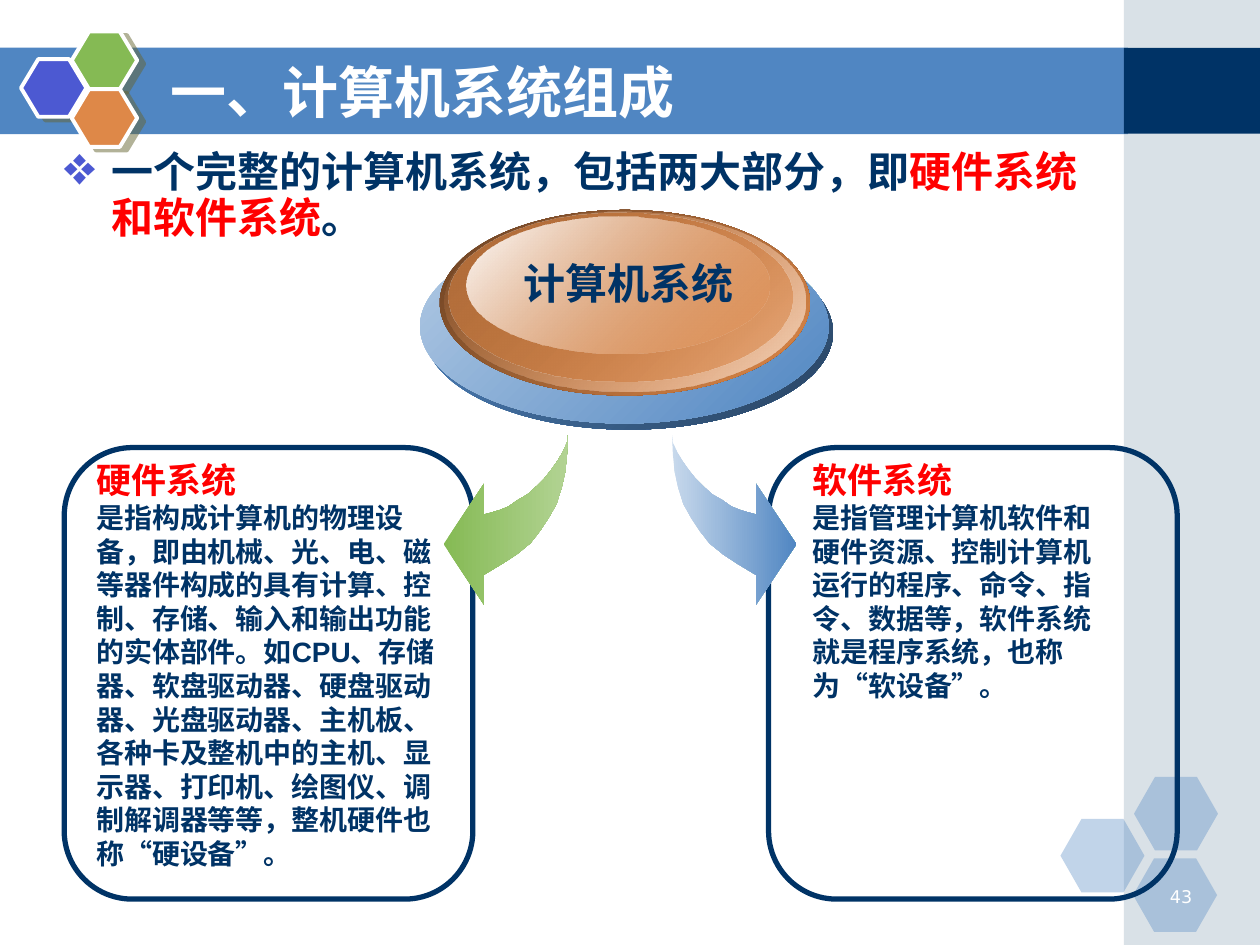
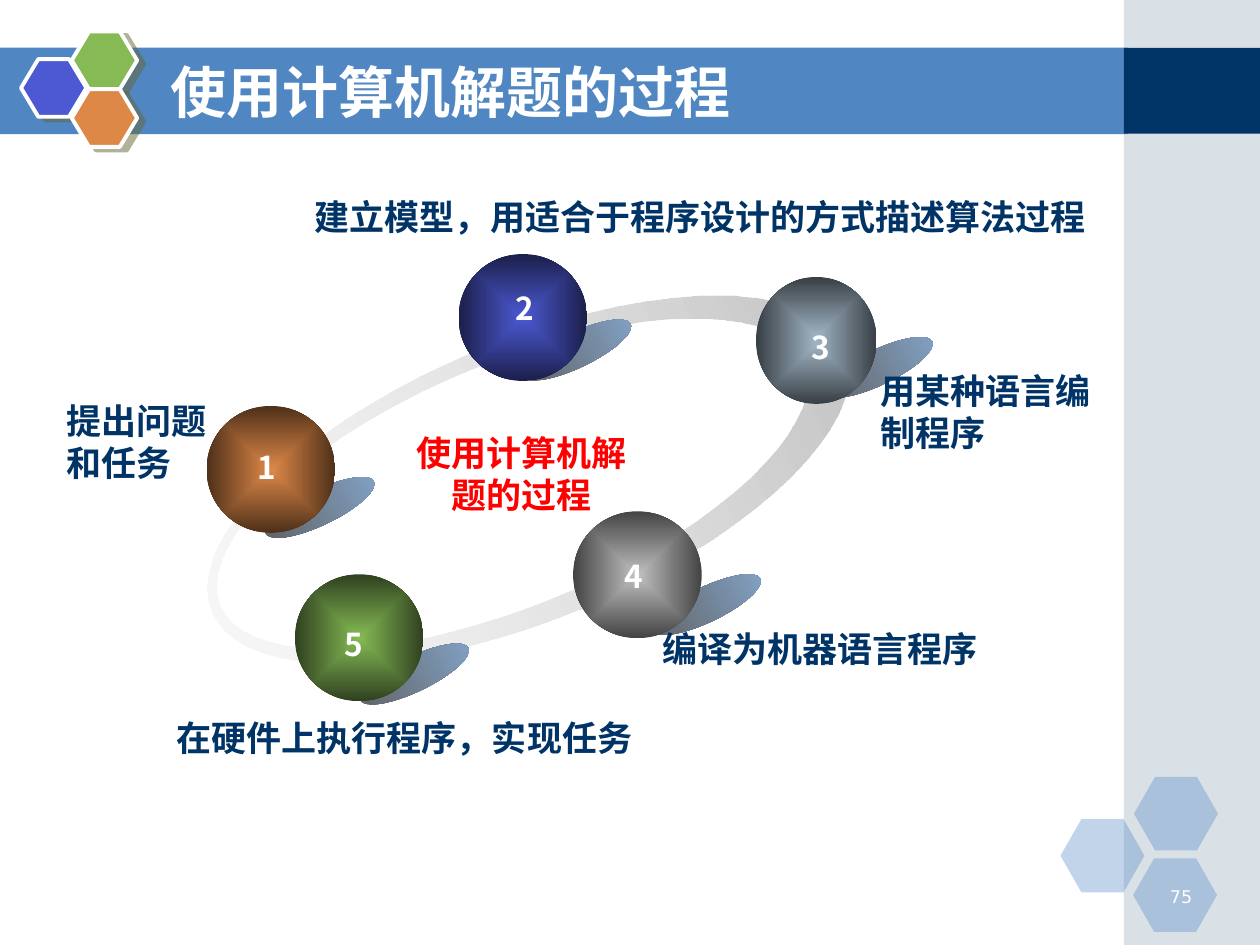
from dataclasses import dataclass
from math import cos, pi, sin

from lxml.etree import SubElement
from pptx import Presentation
from pptx.dml.color import RGBColor
from pptx.enum.shapes import MSO_SHAPE
from pptx.enum.text import MSO_ANCHOR, MSO_AUTO_SIZE, PP_ALIGN
from pptx.oxml.ns import qn
from pptx.util import Pt


@dataclass(frozen=True)
class Theme:
    navy: str = "003366"
    blue: str = "5086C2"
    violet: str = "4C59D2"
    green: str = "85BA54"
    orange: str = "DE8848"
    slate: str = "A0B5C4"
    silver: str = "C0C0C0"
    red: str = "FF0000"
    white: str = "FFFFFF"
    cjk: str = "Noto Sans CJK SC"
    latin: str = "Arial"
    digits: str = "DejaVu Sans"
    title: int = 32
    lead: int = 24
    head: int = 20
    mark: int = 18
    body: int = 16
    page: int = 10


@dataclass(frozen=True)
class Paint:
    """Solid colour, or a gradient from start to end; fade holds opacities in percent."""
    start: str
    end: str = ""
    angle: int = 0
    fade: tuple = (100, 100)
    burst: bool = False


@dataclass(frozen=True)
class Step:
    ball: tuple
    shade: tuple
    mark: tuple
    paint: Paint
    label: str
    box: tuple
    wrap: bool = True


T = Theme()

# Right-hand arrow, measured from its tail
ARROW = [(0, 0), (0.5, 11), (1.5, 21), (3.5, 30), (6.5, 39.5), (11, 47.5),
         (16, 55), (21.5, 62), (29.5, 68.5), (38, 74), (48, 80), (48, 97),
         (71, 62.5), (48, 28), (48, 45.5), (44, 44.5), (39, 43), (34, 41),
         (29, 37.5), (23, 34), (18, 29.5), (13.5, 25), (9.5, 20), (6, 15),
         (3, 10), (0.5, 4.5)]

DISCS = [
    ((242.5, 134.5, 233.5, 111), Paint(T.blue, "284361", 45)),
    ((240, 131, 233.5, 111), Paint("B2CAE4", T.blue, 45)),
    ((251.3, 120, 211.5, 106), Paint("694022", T.orange, 45)),
    ((254, 121, 206, 103), Paint(T.orange, "F3D5BF", 45, (0, 100))),
    ((256.3, 121.5, 196.5, 96.5), Paint("B16D3A", T.orange, 45, (100, 48))),
    ((266.5, 124, 173, 78), Paint(T.white, T.orange, 45, (100, 38))),
]

PARTS = [
    ((36.7, 255.8), (48, 258.5, 209.5, 243.5), "硬件系统",
     "是指构成计算机的物理设备，即由机械、光、电、磁等器件构成的具有计算、控制、存储、"
     "输入和输出功能的实体部件。如CPU、存储器、软盘驱动器、硬盘驱动器、光盘驱动器、"
     "主机板、各种卡及整机中的主机、显示器、打印机、绘图仪、调制解调器等等，"
     "整机硬件也称“硬设备”。"),
    ((439.2, 255.8), (457.2, 258.5, 186, 147), "软件系统",
     "是指管理计算机软件和硬件资源、控制计算机运行的程序、命令、指令、数据等，"
     "软件系统就是程序系统，也称为“软设备”。"),
]

STEPS = [
    Step((118, 232, 73.5, 72.5), (148.5, 280), (139.8, 252.2),
         Paint(T.orange, "4E3019", burst=True),
         "提出问题和任务", (31, 224.5, 102, 55.5)),
    Step((262, 145.2, 73.5, 72.5), (295.2, 190), (287.5, 161.5),
         Paint(T.violet, "1B1F4A", burst=True),
         "建立模型，用适合于程序设计的方式描述算法过程", (172.8, 108.2, 515.5, 31)),
    Step((432, 158.3, 69, 72.5), (467.5, 200), (456.5, 183.8),
         Paint(T.slate, "383F45", burst=True),
         "用某种语言编制程序", (496, 207.5, 136, 55.5)),
    Step((327.5, 292.2, 73.5, 72.5), (369.3, 335.5), (350, 314.5),
         Paint(T.silver, "434343", burst=True),
         "编译为机器语言程序", (371.5, 355, 196, 31), False),
    Step((168.5, 328.2, 73.5, 72.5), (202.5, 375.2), (190, 353.5),
         Paint(T.green, "2F4120", burst=True),
         "在硬件上执行程序，实现任务", (93.8, 406, 276.5, 31), False),
]


def oval(mid, half, count=72):
    """Points round an ellipse with the given centre and half axes."""
    turns = [2 * pi * i / count for i in range(count)]
    return [(mid[0] + half[0] * cos(t), mid[1] + half[1] * sin(t)) for t in turns]


class Deck:
    def __init__(self, theme):
        self.theme = theme
        self.prs = Presentation()
        self.prs.slide_width, self.prs.slide_height = Pt(720), Pt(540)
        self.slide = None

    def style(self, shape, paint=None, line=None, width=1):
        shape.shadow.inherit = False
        if paint is None:
            shape.fill.background()
        elif paint.end:
            self.blend(shape, paint)
        else:
            shape.fill.solid()
            shape.fill.fore_color.rgb = RGBColor.from_string(paint.start)
        if paint:
            tones = shape._element.spPr.iter(qn("a:srgbClr"))
            for tone, part in zip(tones, paint.fade):
                if part < 100:
                    SubElement(tone, qn("a:alpha"), val=str(part * 1000))
        if line:
            shape.line.color.rgb = RGBColor.from_string(line)
            shape.line.width = Pt(width)
        else:
            shape.line.fill.background()
        return shape

    def blend(self, shape, paint):
        """Gradient fill, linear or spreading from the centre."""
        shape.fill.gradient()
        shape.fill.gradient_angle = -paint.angle % 360
        for stop, tone in zip(shape.fill.gradient_stops, (paint.start, paint.end)):
            stop.color.rgb = RGBColor.from_string(tone)
        if paint.burst:
            grad = shape._element.spPr.find(qn("a:gradFill"))
            grad.remove(grad.find(qn("a:lin")))
            core = SubElement(grad, qn("a:path"), path="shape")
            SubElement(core, qn("a:fillToRect"), l="50000", t="50000",
                       r="50000", b="50000")

    def shape(self, kind, box, paint=None, line=None, width=1, turn=0):
        item = self.slide.shapes.add_shape(kind, *map(Pt, box))
        item.rotation = turn
        return self.style(item, paint, line, width)

    def hexa(self, box, adj, paint, line=None):
        item = self.shape(MSO_SHAPE.HEXAGON, box, paint, line, 2.25)
        item.adjustments[0] = adj
        return item

    def outline(self, loops, paint, turn=0):
        """Freeform of closed loops; a loop inside another is a hole."""
        loops = [[(Pt(x), Pt(y)) for x, y in loop] for loop in loops]
        form = self.slide.shapes.build_freeform(*loops[0][0])
        for i, loop in enumerate(loops):
            if i:
                form.move_to(*loop[0])
            form.add_line_segments(loop[1:], close=True)
        item = form.convert_to_shape()
        item.rotation = turn
        return self.style(item, paint)

    def font(self, para, size, color, name, bold=True):
        font = para.font
        font.size, font.bold, font.name = Pt(size), bold, name
        font.color.rgb = RGBColor.from_string(color)
        props = para._p.pPr
        props.set("hangingPunct", "0")
        SubElement(props.find(qn("a:defRPr")), qn("a:ea"), typeface=self.theme.cjk)

    def text(self, box, lines, name=None, align=PP_ALIGN.LEFT, wrap=True,
             gap=None, bold=True):
        """Text box; each line is (text, size, colour)."""
        frame = self.slide.shapes.add_textbox(*map(Pt, box)).text_frame
        frame.word_wrap = wrap
        for i, (words, size, color) in enumerate(lines):
            para = frame.add_paragraph() if i else frame.paragraphs[0]
            para.text, para.alignment = words, align
            if gap:
                para.line_spacing = gap
            self.font(para, size, color, name or self.theme.cjk, bold)

    def lead(self, box, runs):
        """Bulleted paragraph of (text, colour) runs."""
        t = self.theme
        frame = self.slide.shapes.add_textbox(*map(Pt, box)).text_frame
        frame.word_wrap = True
        para = frame.paragraphs[0]
        para.line_spacing = 0.9
        props = para._p.get_or_add_pPr()
        props.set("marL", str(Pt(27)))
        props.set("indent", str(-Pt(27)))
        tint = SubElement(props, qn("a:buClr"))
        SubElement(tint, qn("a:srgbClr"), val=t.violet)
        SubElement(props, qn("a:buSzPct"), val="130000")
        SubElement(props, qn("a:buChar"), char="❖")
        self.font(para, t.lead, t.navy, t.cjk)
        for words, color in runs:
            run = para.add_run()
            run.text = words
            run.font.color.rgb = RGBColor.from_string(color)

    def open(self, title, page):
        """New slide with the shared band, hexagons, page number and title."""
        t = self.theme
        self.slide = self.prs.slides.add_slide(self.prs.slide_layouts[5])
        rect = MSO_SHAPE.RECTANGLE
        self.shape(rect, (0, 27.2, 644.5, 49.5), Paint(t.blue))
        self.shape(rect, (642.2, 0, 77.8, 540), Paint(t.slate, fade=(40,)))
        self.shape(rect, (642.2, 27.4, 77.8, 49), Paint(t.navy))
        for x, y in ((606, 468), (648, 444), (647.5, 490.5)):
            self.hexa((x, y, 48, 42), 0.286, Paint(t.blue, fade=(35,)))
        for x, y, tone in ((12, 33.8, t.violet), (41, 18, t.green), (41, 51, t.orange)):
            item = self.hexa((x, y, 37.4, 33), 0.3, Paint(tone), t.white)
            self.cast(item)
        self.text((652.3, 502.5, 36, 18), [(page, t.page, t.white)], t.digits,
                  PP_ALIGN.RIGHT, bold=False)
        self.title(title)

    def cast(self, item):
        """Hard, half-clear shadow to the lower right."""
        effect = item._element.spPr.find(qn("a:effectLst"))
        drop = SubElement(effect, qn("a:outerShdw"), dist=str(Pt(4.5)),
                          dir=str(27 * 60000), algn="ctr", rotWithShape="0")
        tone = SubElement(drop, qn("a:srgbClr"), val="666633")
        SubElement(tone, qn("a:alpha"), val="50000")

    def title(self, words):
        t = self.theme
        item = self.slide.shapes.title
        item.left, item.top, item.width, item.height = map(Pt, (90, 29.6, 528, 45))
        frame = item.text_frame
        frame.text = words
        frame.auto_size = MSO_AUTO_SIZE.NONE
        frame.vertical_anchor = MSO_ANCHOR.MIDDLE
        para = frame.paragraphs[0]
        para.alignment = PP_ALIGN.LEFT
        self.font(para, t.title, t.white, t.cjk)
        self.slide.shapes._spTree.append(item._element)


def system(deck):
    deck.open("一、计算机系统组成", "43")
    deck.lead((29.5, 83, 614, 413), [
        ("一个完整的计算机系统，包括两大部分，即", T.navy),
        ("硬件系统和软件系统", T.red), ("。", T.navy)])
    for spot, box, head, body in PARTS:
        deck.shape(MSO_SHAPE.ROUNDED_RECTANGLE, (*spot, 233.5, 258), None, T.navy, 3)
        deck.text(box, [(head, T.head, T.red), (body, T.body, T.navy)], T.latin)
    for tail, side, paint in ((324.5, -1, Paint(T.green, "B2D393")),
                              (384, 1, Paint("C8D9EC", T.blue))):
        deck.outline([[(tail + side * x, 248.5 + y) for x, y in ARROW]], paint)
    for box, paint in DISCS:
        deck.shape(MSO_SHAPE.OVAL, box, paint)
    deck.text((291.5, 147, 135.5, 33), [("计算机系统", T.lead, T.navy)], T.latin,
              PP_ALIGN.CENTER, False, 0.9)


def process(deck):
    name = "使用计算机解题的过程"
    deck.open(name, "75")
    ring = [oval((302, 274), (196, 79.5)), oval((292.5, 272.5), (180.5, 69))]
    deck.outline(ring, Paint("EEEEEE", T.silver, fade=(36, 100)), 337.4)
    for step in STEPS:
        deck.shape(MSO_SHAPE.OVAL, (*step.shade, 68.5, 20),
                   Paint("5F5F5F", "84A5CA"), turn=334.3)
    for num, step in enumerate(STEPS, 1):
        deck.shape(MSO_SHAPE.OVAL, step.ball, step.paint)
        deck.text((*step.mark, 24, 29), [(str(num), T.mark, T.white)], wrap=False)
        deck.text(step.box, [(step.label, T.head, T.navy)], wrap=step.wrap)
    deck.text((224, 243.2, 148.5, 55.5), [(name, T.head, T.red)],
              align=PP_ALIGN.CENTER)


def main():
    deck = Deck(T)
    system(deck)
    process(deck)
    deck.prs.save("out.pptx")


if __name__ == "__main__":
    main()
